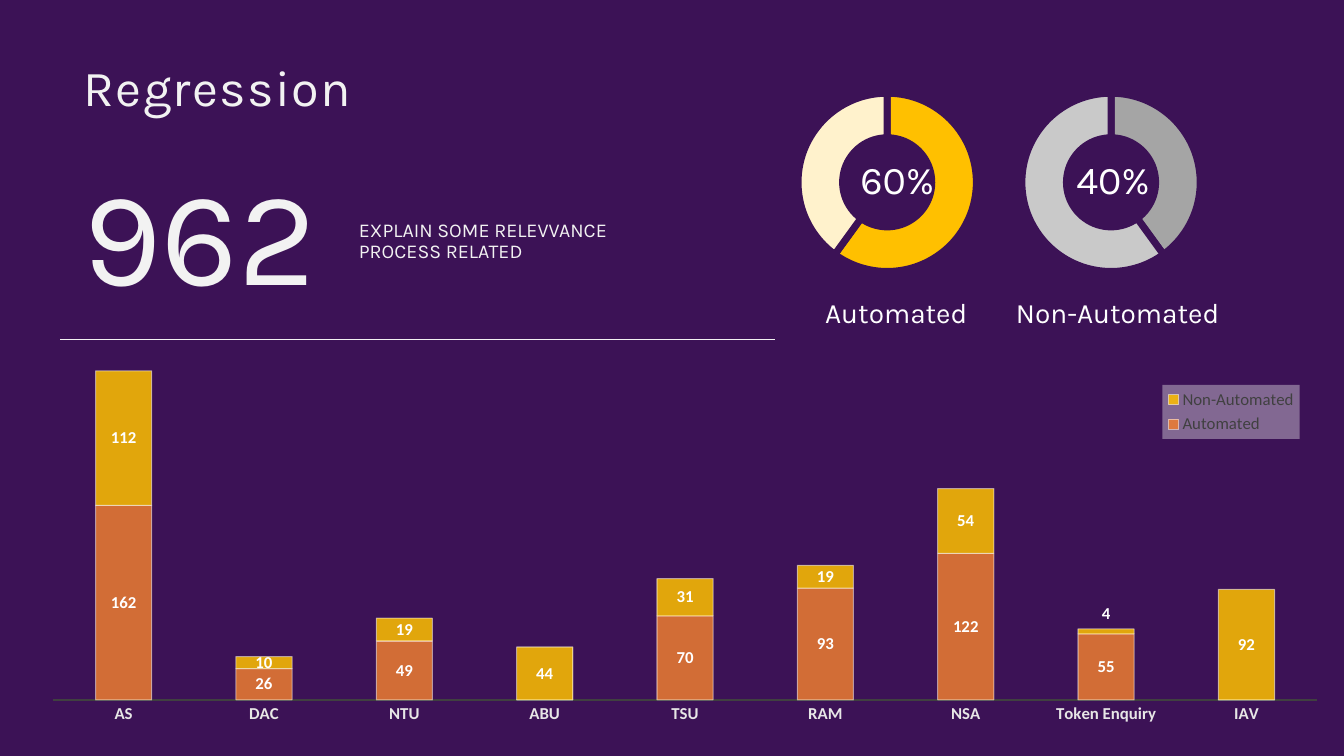
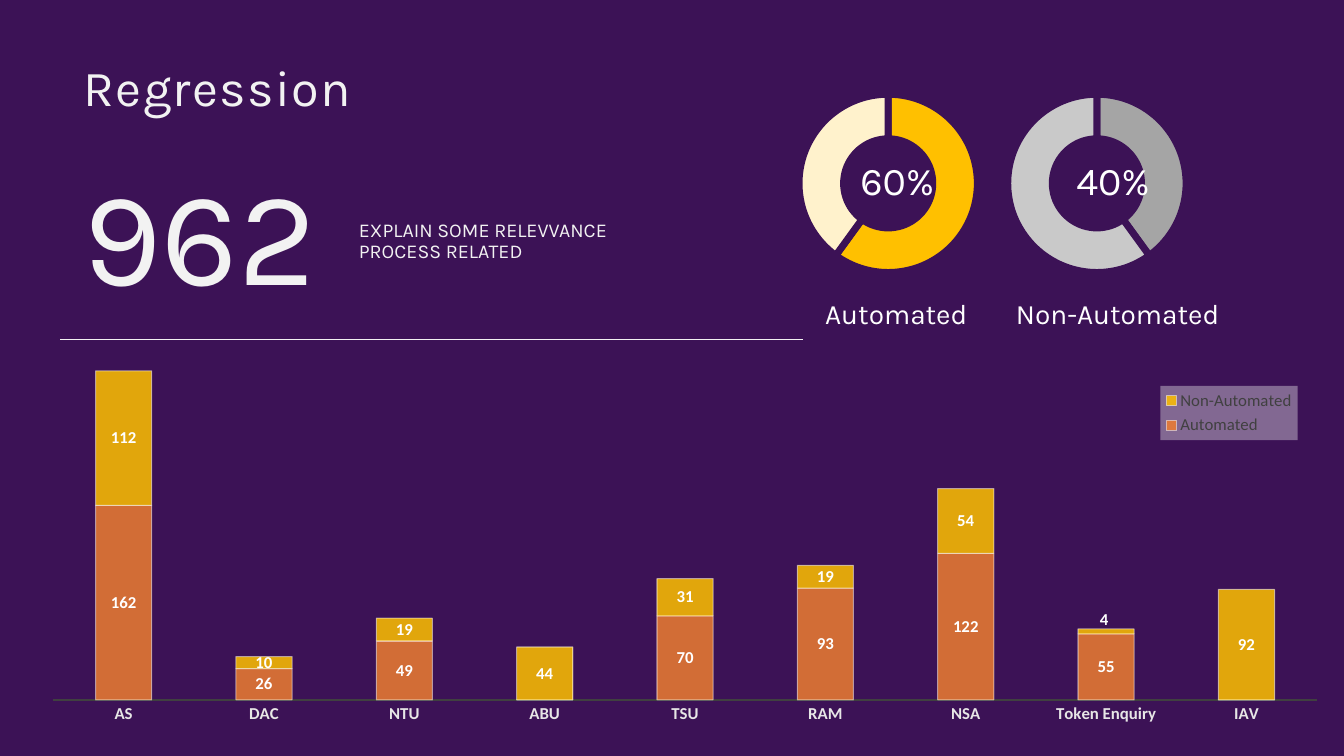
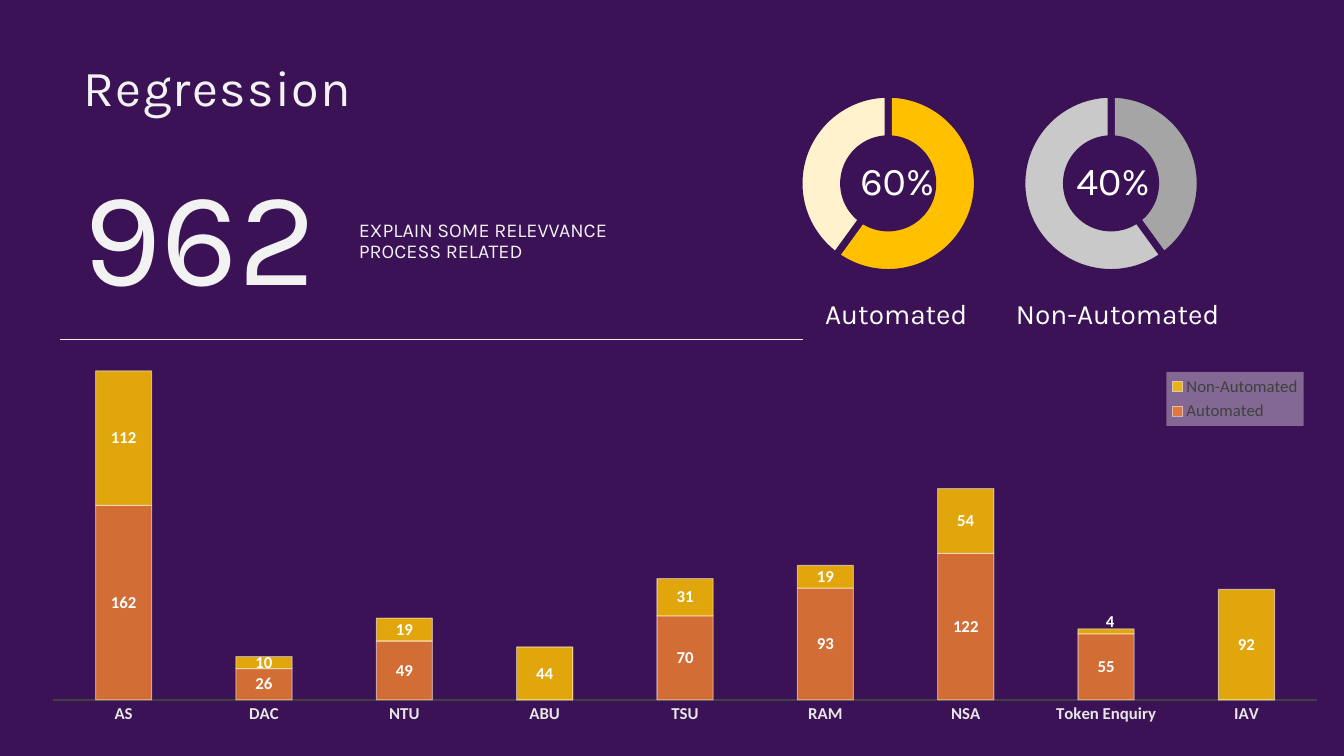
from pptx import Presentation, util as u
from pptx.chart.data import CategoryChartData
from pptx.dml.color import RGBColor
from pptx.enum import chart as charts, shapes, text
from pptx.oxml import parse_xml
from pptx.oxml.ns import nsdecls, qn

PX = 9144
PURPLE, PALE, WHITE = "3C1256", "F2F2F2", "FFFFFF"
ORANGE, GOLD, CREAM = "ED7D31", "FFC000", "FFF2CC"
GREY, SILVER, AXIS_TEXT, DARK = "A5A5A5", "C9C9C9", "E7E6E6", "404040"
HEADING_FONT, CHART_FONT = "Karla", "Calibri"
MIDDLE, TOP = text.MSO_ANCHOR.MIDDLE, text.MSO_ANCHOR.TOP
LEFT, CENTER = text.PP_ALIGN.LEFT, text.PP_ALIGN.CENTER

TEAMS = ["AS", "DAC", "NTU", "ABU", "TSU", "RAM", "NSA", "Token Enquiry", "IAV"]
TOKEN_ENQUIRY = TEAMS.index("Token Enquiry")
TEST_COUNTS = [
    ("Automated", ORANGE, [162, 26, 49, 0, 70, 93, 122, 55, 0]),
    ("Non-Automated", GOLD, [112, 10, 19, 44, 31, 19, 54, 4, 92]),
]
VARIANTS = [
    dict(top=78, automated_left=727, manual_left=984, rule_end=769,
         legend_at=(1153, 382), label_shift=(0, -18)),
    dict(top=79, automated_left=728, manual_left=970, rule_end=796,
         legend_at=(1151, 383), label_shift=(-2, -12)),
    dict(top=79, automated_left=728, manual_left=984, rule_end=796,
         legend_at=(1157, 369), label_shift=(4, -10)),
]


def px(*lengths):
    return [u.Emu(length * PX) for length in lengths]


def color(value):
    return RGBColor.from_string(value)


def set_font(font, name, size, value, bold=False):
    font.name, font.size, font.bold = name, u.Pt(size), bold
    font.color.rgb = color(value)


def set_line(line, value, width):
    line.color.rgb = color(value)
    line.width = u.Pt(width)


def set_opacity(color_element, percent):
    color_element.append(parse_xml(f'<a:alpha {nsdecls("a")} val="{percent * 1000}"/>'))


def set_layout(parent, index, fractions, edge=True, inner=False):
    for old in parent.findall(qn("c:layout")):
        parent.remove(old)
    parts = '<c:layoutTarget val="inner"/>' if inner else ""
    if edge:
        parts += '<c:xMode val="edge"/><c:yMode val="edge"/>'
    for tag, value in zip("xywh", fractions):
        parts += f'<c:{tag} val="{value:.4f}"/>'
    parent.insert(index, parse_xml(
        f'<c:layout {nsdecls("c")}><c:manualLayout>{parts}</c:manualLayout></c:layout>'))


class Deck:
    """Holds the shared style and the slide being built."""

    def __init__(self):
        self.presentation = Presentation()
        self.presentation.slide_width, self.presentation.slide_height = px(1333, 750)
        fill = self.presentation.slide_master.background.fill
        fill.solid()
        fill.fore_color.rgb = color(PURPLE)

    def add_slide(self):
        layout = self.presentation.slide_layouts.get_by_name("Title Only")
        self.slide = self.presentation.slides.add_slide(layout)

    def add_text(self, shape, words, size, value, anchor=TOP, align=LEFT, inset=10, before=10):
        frame = shape.text_frame
        frame.word_wrap = True
        frame.auto_size = text.MSO_AUTO_SIZE.NONE
        frame.vertical_anchor = anchor
        frame.margin_left, frame.margin_right = px(inset, inset)
        frame.margin_top, frame.margin_bottom = px(5, 5)
        paragraph = frame.paragraphs[0]
        paragraph.alignment = align
        paragraph.line_spacing = 0.9
        paragraph.space_before = u.Pt(before)
        run = paragraph.add_run()
        run.text = words
        set_font(run.font, HEADING_FONT, size, value)
        return run

    def title(self, words):
        shape = self.slide.shapes.title
        shape.left, shape.top, shape.width, shape.height = px(73, 57, 512, 67)
        run = self.add_text(shape, words, 36, PALE, before=0)
        run.font._element.set("spc", "100")

    def label(self, box, words, size, value=WHITE, **style):
        self.add_text(self.slide.shapes.add_textbox(*px(*box)), words, size, value, **style)

    def rule(self, left, right, y):
        line = self.slide.shapes.add_connector(shapes.MSO_CONNECTOR.STRAIGHT, *px(left, y, right, y))
        set_line(line.line, PALE, 0.5)
        line._element.spPr.append(parse_xml(f'<a:effectLst {nsdecls("a")}/>'))

    def chart(self, kind, box, categories, series, plot_box):
        data = CategoryChartData()
        data.categories = categories
        for name, values in series:
            data.add_series(name, values)
        chart = self.slide.shapes.add_chart(kind, *px(*box), data).chart
        chart.has_title = chart.has_legend = False
        set_font(chart.font, CHART_FONT, 10, "000000")
        area = chart._chartSpace.xpath(".//c:plotArea")[0]
        set_layout(area, 0, self.fractions(box, plot_box), inner=True)
        return chart

    def fractions(self, box, part):
        left, top, width, height = box
        x, y, w, h = part
        return (x - left) / width, (y - top) / height, w / width, h / height

    def doughnut(self, box, values, colors):
        left, top, width, height = box
        size = 177
        ring = (left + (width - size) / 2, top + (height - size) / 2, size, size)
        chart = self.chart(charts.XL_CHART_TYPE.DOUGHNUT, box, ["1", "2"], [("Series 1", values)], ring)
        chart._chartSpace.xpath(".//c:holeSize")[0].set("val", "77")
        for index, value in enumerate(colors):
            style = chart.plots[0].series[0].points[index].format
            style.fill.solid()
            style.fill.fore_color.rgb = color(value)
            set_line(style.line, PURPLE, 5)

    def stacked_columns(self, legend_at, label_shift):
        box = (26, 337, 1281, 381)
        chart = self.chart(charts.XL_CHART_TYPE.COLUMN_STACKED, box, TEAMS,
                           [(name, values) for name, _, values in TEST_COUNTS],
                           (53, 337, 1253, 359))
        plot = chart.plots[0]
        plot.gap_width, plot.overlap = 150, 100
        plot.vary_by_categories = False
        for series, (_, value, _) in zip(plot.series, TEST_COUNTS):
            self.column_series(series, value)
        self.shift_label(plot.series[1], TOKEN_ENQUIRY, label_shift[0] / box[2], label_shift[1] / box[3])

        values_axis = chart.value_axis
        values_axis.minimum_scale, values_axis.maximum_scale = 0, 300
        values_axis.has_major_gridlines = False
        values_axis.visible = False
        teams_axis = chart.category_axis
        teams_axis.major_tick_mark = teams_axis.minor_tick_mark = charts.XL_TICK_MARK.NONE
        set_line(teams_axis.format.line, DARK, 1.5)
        set_font(teams_axis.tick_labels.font, CHART_FONT, 12, AXIS_TEXT, True)
        self.legend(chart, self.fractions(box, (*legend_at, 136, 54)))

    def column_series(self, series, value):
        series.format.fill.solid()
        series.format.fill.fore_color.rgb = color(value)
        set_line(series.format.line, WHITE, 0.75)
        for element, percent in zip(series._element.xpath("c:spPr//a:srgbClr"), (85, 50)):
            set_opacity(element, percent)
        labels = series.data_labels
        labels.show_value = True
        labels.position = charts.XL_LABEL_POSITION.CENTER
        labels.number_format, labels.number_format_is_linked = "0;;", False
        set_font(labels.font, CHART_FONT, 12, WHITE, True)

    def shift_label(self, series, index, x, y):
        label = series.points[index].data_label
        set_font(label.font, CHART_FONT, 12, WHITE, True)
        label.position = charts.XL_LABEL_POSITION.CENTER
        element = series._element.xpath(f'.//c:dLbl[c:idx/@val="{index}"]')[0]
        set_layout(element, 1, (x, y), edge=False)

    def legend(self, chart, fractions):
        chart.has_legend = True
        legend = chart.legend
        legend.position = charts.XL_LEGEND_POSITION.RIGHT
        legend.include_in_layout = False
        set_font(legend.font, CHART_FONT, 12, DARK)
        element = legend._element
        set_layout(element, 1, fractions)
        background = parse_xml(
            f'<c:spPr {nsdecls("c", "a")}><a:solidFill><a:srgbClr val="{PALE}"/></a:solidFill></c:spPr>')
        set_opacity(background[0][0], 39)
        element.find(qn("c:txPr")).addprevious(background)


def build_slide(deck, top, automated_left, manual_left, rule_end, legend_at, label_shift):
    deck.add_slide()
    deck.title("Regression")
    deck.label((73, 163, 269, 154), "962", 96, PALE)
    deck.label((356, 163, 324, 154), "EXPLAIN SOME RELEVVANCE PROCESS RELATED", 14, PALE,
               anchor=MIDDLE, inset=0)
    rings = [
        (manual_left, 236, [40, 60], [GREY, SILVER], (1029, 150), (956, 305), "Non-Automated"),
        (automated_left, 306, [60, 40], [GOLD, CREAM], (793, 194), (771, 236), "Automated"),
    ]
    for left, width, values, colors, share, caption, name in rings:
        deck.doughnut((left, top, width, 206), values, colors)
        deck.label((share[0], top + 62, share[1], 81), f"{values[0]}%", 28,
                   anchor=MIDDLE, align=CENTER, inset=0)
        deck.label((caption[0], top + 214, caption[1], 81), name, 20, align=CENTER, inset=0)
    deck.stacked_columns(legend_at, label_shift)
    deck.rule(60, rule_end, 337)


def main():
    deck = Deck()
    for variant in VARIANTS:
        build_slide(deck, **variant)
    deck.presentation.save("out.pptx")


if __name__ == "__main__":
    main()
